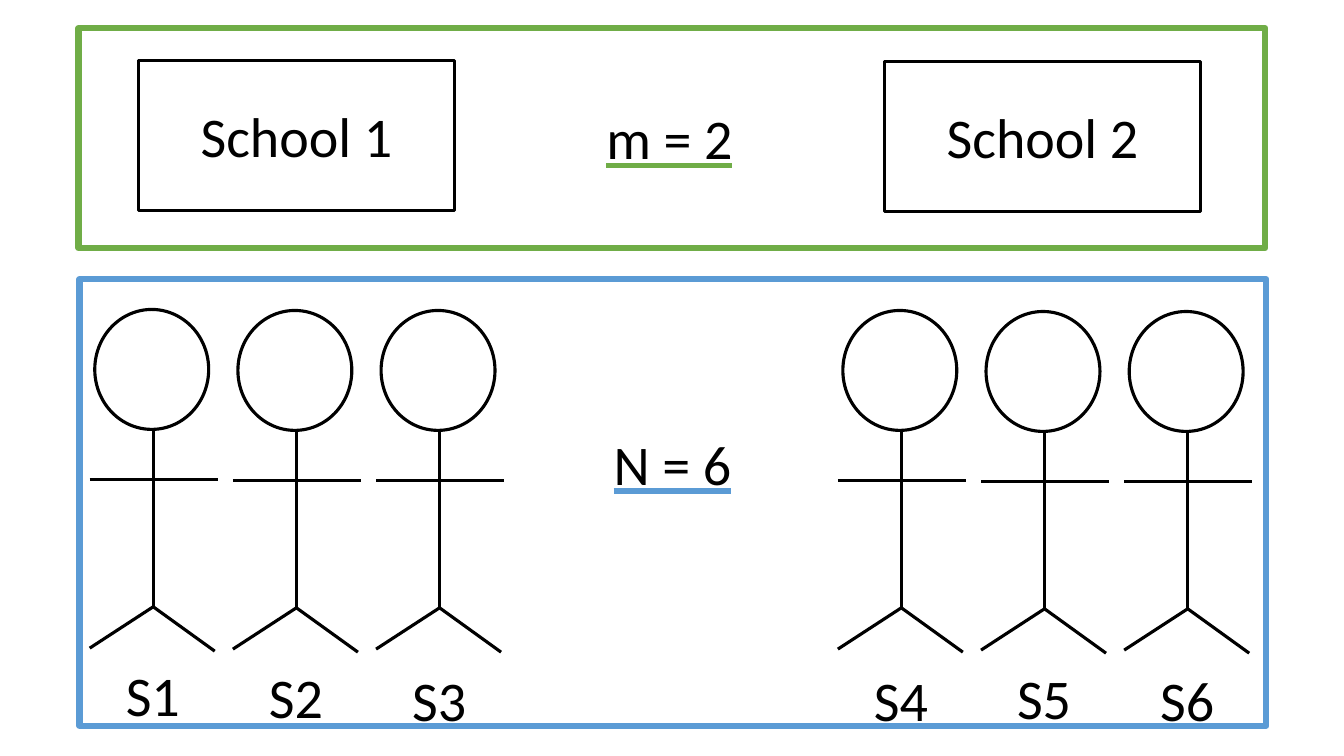
from lxml import etree
from pptx import Presentation
from pptx.dml.color import RGBColor
from pptx.enum import shapes, text
from pptx.oxml.ns import qn
from pptx.util import Inches, Pt

COLORS = {"ink": "000000", "paper": "FFFFFF", "schools": "70AD47", "students": "5B9BD5"}
FONT = "Calibri"
STUDENT_PITCH = 1.42
GROUP_LEFTS = (0.94, 8.36)
# Top of the head and top of the label, for each student of each school
STUDENT_TOPS = (
    ((3.07, 6.50), (3.08, 6.52), (3.08, 6.55)),
    ((3.08, 6.55), (3.09, 6.53), (3.09, 6.55)),
)
# Strokes of the body, measured from the top left of the head
HIP = (0.58, 2.95)
BODY_STROKES = (
    ((0.58, 1.20), HIP),
    ((-0.05, 1.69), (1.22, 1.69)),
    ((-0.05, 3.36), HIP),
    (HIP, (1.19, 3.39)),
)


def rgb(color):
    """Return the named colour as an RGBColor."""
    return RGBColor.from_string(COLORS[color])


def add_outline(slide, preset, box, color="ink", width=2.25, fill="paper"):
    """Add an outlined preset shape; a fill of None leaves it open."""
    outline = slide.shapes.add_shape(preset, *map(Inches, box))
    outline.shadow.inherit = False
    if fill:
        outline.fill.solid()
        outline.fill.fore_color.rgb = rgb(fill)
    else:
        outline.fill.background()
    outline.line.color.rgb = rgb(color)
    outline.line.width = Pt(width)
    return outline


def add_stroke(slide, start, end):
    """Add a straight black line between two points."""
    stroke = slide.shapes.add_connector(
        shapes.MSO_CONNECTOR.STRAIGHT, *map(Inches, start + end))
    stroke.line.color.rgb = rgb("ink")
    stroke.line.width = Pt(2.25)
    etree.SubElement(stroke.element.spPr, qn("a:effectLst"))


def write(frame, words, underline=None):
    """Write one centred run, with a coloured underline if one is named."""
    paragraph = frame.paragraphs[0]
    paragraph.alignment = text.PP_ALIGN.CENTER
    run = paragraph.add_run()
    run.text = words
    run.font.size = Pt(40)
    run.font.color.rgb = rgb("ink")
    if underline:
        run.font.underline = True
        underline_fill = etree.SubElement(run.font._element, qn("a:uFill"))
        solid = etree.SubElement(underline_fill, qn("a:solidFill"))
        etree.SubElement(solid, qn("a:srgbClr"), val=COLORS[underline])
    run.font.name = FONT


def add_label(slide, words, left, top, width, underline=None):
    """Add a one-line text box."""
    label = slide.shapes.add_textbox(*map(Inches, (left, top, width, 0.77)))
    frame = label.text_frame
    frame.word_wrap = True
    frame.margin_left = frame.margin_right = 0
    frame.auto_size = text.MSO_AUTO_SIZE.SHAPE_TO_FIT_TEXT
    write(frame, words, underline)


def add_school(slide, name, left, top):
    """Add a named school box."""
    school = add_outline(slide, shapes.MSO_SHAPE.RECTANGLE, (left, top, 3.14, 1.49))
    school.text_frame.vertical_anchor = text.MSO_ANCHOR.MIDDLE
    write(school.text_frame, name)


def add_student(slide, name, left, top, label_top):
    """Add a stick figure with its label."""
    add_outline(slide, shapes.MSO_SHAPE.OVAL, (left, top, 1.13, 1.19))
    for stroke in BODY_STROKES:
        start, end = ((left + x, top + y) for x, y in stroke)
        add_stroke(slide, start, end)
    add_label(slide, name, left + 0.18, label_top, 0.79)


def add_frame(slide, box, color):
    """Add the open coloured frame around one level of the sample."""
    add_outline(slide, shapes.MSO_SHAPE.RECTANGLE, box, color, 4.5, None)


def main():
    """Build the slide of schools and students."""
    deck = Presentation()
    deck.slide_width, deck.slide_height = Inches(13.33), Inches(7.5)
    slide = deck.slides.add_slide(deck.slide_layouts[6])

    for group, (group_left, tops) in enumerate(zip(GROUP_LEFTS, STUDENT_TOPS)):
        for place, (head_top, label_top) in enumerate(tops):
            number = group * len(tops) + place + 1
            add_student(slide, f"S{number}", group_left + place * STUDENT_PITCH,
                        head_top, label_top)

    add_school(slide, "School 1", 1.37, 0.60)
    add_school(slide, "School 2", 8.77, 0.61)
    add_frame(slide, (0.78, 0.28, 11.77, 2.18), "schools")
    add_frame(slide, (0.79, 2.77, 11.77, 4.43), "students")
    add_label(slide, "m = 2", 5.91, 0.98, 1.46, "schools")
    add_label(slide, "N = 6", 5.94, 4.21, 1.46, "students")
    deck.save("out.pptx")


main()
